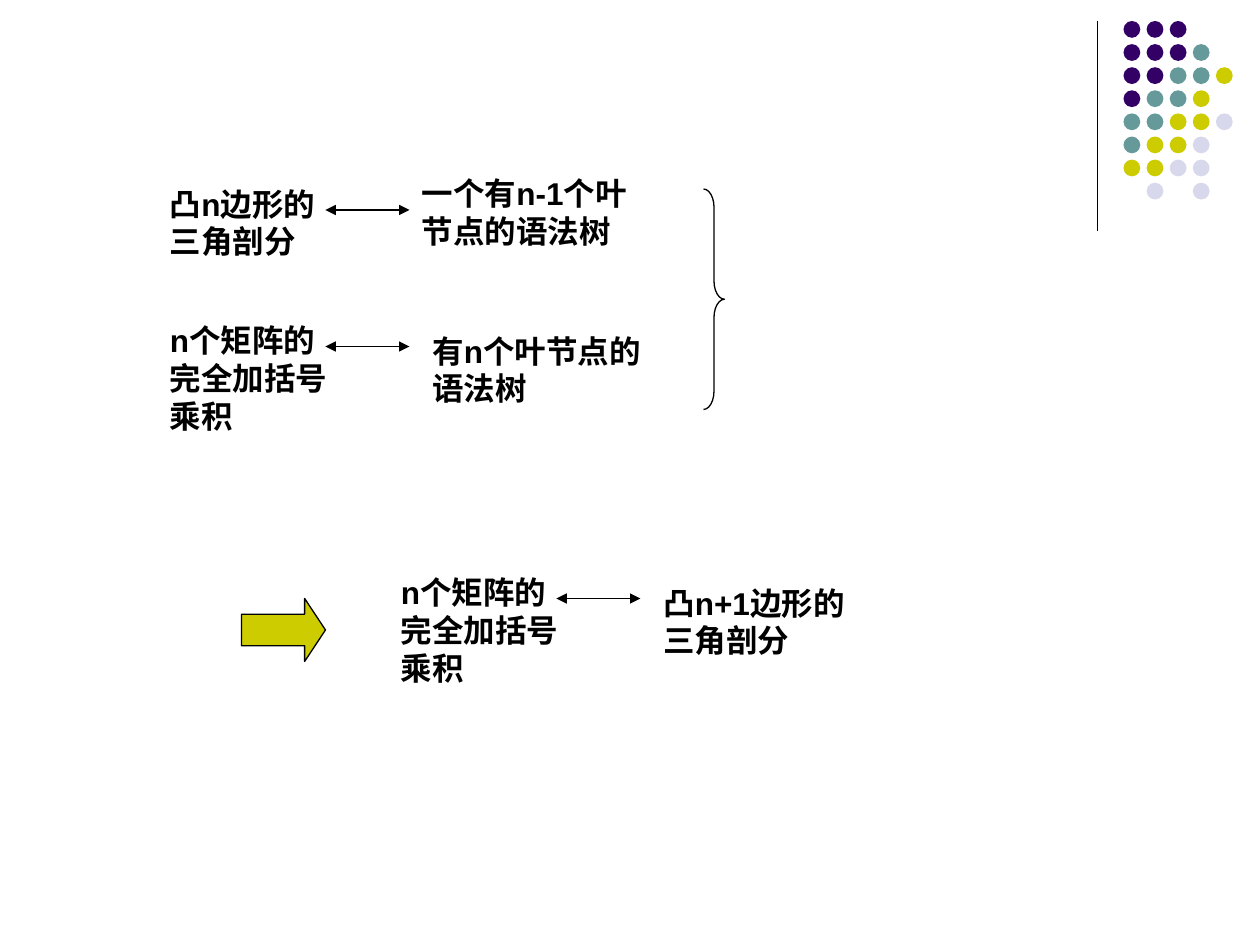
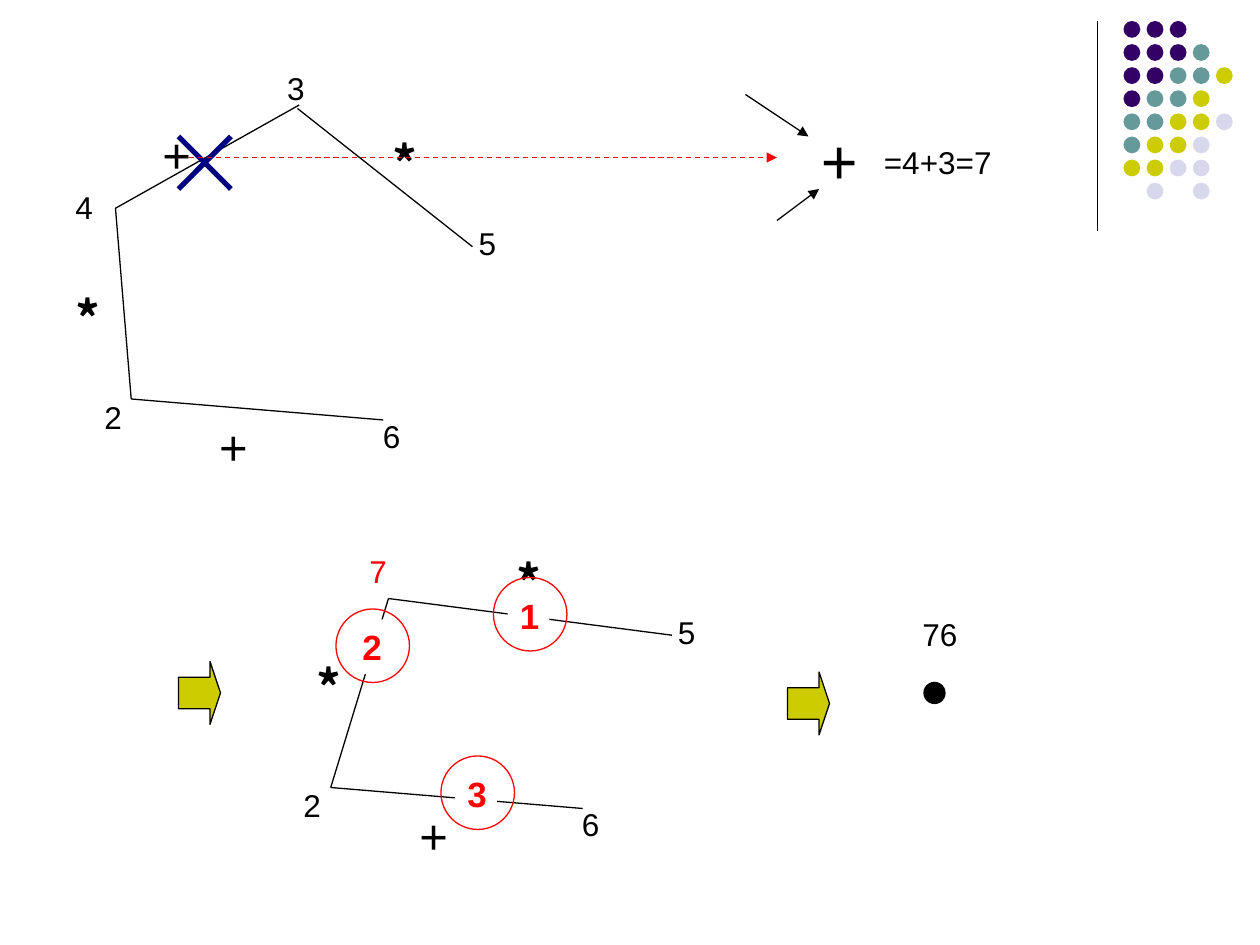
from dataclasses import dataclass
from typing import NamedTuple, Optional

from lxml import etree
from pptx import Presentation
from pptx.dml import color as col
from pptx.enum import dml, shapes, text
from pptx.oxml import ns
from pptx.slide import Slide
from pptx.util import Pt

COLORS = {
    "black": "000000", "white": "FFFFFF", "red": "FF0000", "navy": "000080",
    "purple": "330066", "teal": "669999", "olive": "CCCC00", "lilac": "D8D8EC",
}
LATIN, CJK = "Arial", "Noto Sans CJK SC"

DOT_COLORS = {"P": "purple", "T": "teal", "O": "olive", "L": "lilac"}
DOT_ROWS = ("PPP", "PPPT", "PPTTO", "PTTO", "TTOOL", "TOOL", "OOLL", " L L")
DOT_LEFT, DOT_TOP, DOT_PITCH, DOT_SIZE = 642, 12, 13.2, 9.6


@dataclass
class Label:
    text: str
    left: float
    top: float
    width: float = 27.4
    size: float = 18
    lines: int = 1
    color: str = "black"
    bold: bool = False
    font: str = LATIN
    fill: Optional[str] = None
    centered: bool = False


class Line(NamedTuple):
    x1: float
    y1: float
    x2: float
    y2: float
    color: str = "black"
    weight: float = 0.75
    arrows: str = ""  # any of "head" and "tail", separated by a space
    dashed: bool = False


class Figure(NamedTuple):
    kind: shapes.MSO_SHAPE
    left: float
    top: float
    width: float
    height: float
    fill: Optional[str] = None
    line: Optional[str] = "black"
    adjustments: tuple = ()


def rgb(name: str) -> col.RGBColor:
    return col.RGBColor.from_string(COLORS[name])


def add_label(s: Slide, label: Label) -> None:
    height = label.lines * label.size * 1.2 + 7.2
    sp = s.shapes.add_textbox(Pt(label.left), Pt(label.top), Pt(label.width), Pt(height))
    if label.fill:
        sp.fill.solid()
        sp.fill.fore_color.rgb = rgb(label.fill)
    tf = sp.text_frame
    tf.word_wrap = True
    tf.auto_size = text.MSO_AUTO_SIZE.SHAPE_TO_FIT_TEXT
    tf.text = label.text
    p = tf.paragraphs[0]
    p.alignment = text.PP_ALIGN.CENTER if label.centered else text.PP_ALIGN.LEFT
    r = p.runs[0]
    r.font.name, r.font.size, r.font.bold = label.font, Pt(label.size), label.bold
    r.font.color.rgb = rgb(label.color)
    etree.SubElement(r.font._element, ns.qn("a:ea"), typeface=CJK)


def add_line(s: Slide, line: Line) -> None:
    c = s.shapes.add_connector(shapes.MSO_CONNECTOR.STRAIGHT, Pt(line.x1), Pt(line.y1),
                               Pt(line.x2), Pt(line.y2))
    c.line.color.rgb = rgb(line.color)
    c.line.width = Pt(line.weight)
    if line.dashed:
        c.line.dash_style = dml.MSO_LINE.DASH
    ln = c.line._get_or_add_ln()
    for end in line.arrows.split():
        etree.SubElement(ln, ns.qn(f"a:{end}End"), type="triangle")
    etree.SubElement(c._element.spPr, ns.qn("a:effectLst"))


def add_figure(s: Slide, figure: Figure) -> None:
    sp = s.shapes.add_shape(figure.kind, Pt(figure.left), Pt(figure.top),
                            Pt(figure.width), Pt(figure.height))
    sp.shadow.inherit = False
    for i, value in enumerate(figure.adjustments):
        sp.adjustments[i] = value
    if figure.fill:
        sp.fill.solid()
        sp.fill.fore_color.rgb = rgb(figure.fill)
    else:
        sp.fill.background()
    if figure.line:
        sp.line.color.rgb = rgb(figure.line)
        sp.line.width = Pt(0.75)
    else:
        sp.line.fill.background()


def draw(s: Slide, items: list) -> None:
    """Draw labels, lines and figures from back to front."""
    painters = {Label: add_label, Line: add_line, Figure: add_figure}
    for item in items:
        painters[type(item)](s, item)


def oval(left: float, top: float, size: float, fill: Optional[str],
         line: Optional[str]) -> Figure:
    return Figure(shapes.MSO_SHAPE.OVAL, left, top, size, size, fill, line)


def block_arrow(left: float, top: float, width: float, head: float) -> Figure:
    return Figure(shapes.MSO_SHAPE.RIGHT_ARROW, left, top, width, 36, "olive",
                  adjustments=(0.5, head))


def concept(words: str, left: float, top: float, width: float, lines: int = 2) -> Label:
    return Label(words, left, top, width, lines=lines, bold=True)


def equivalence(x1: float, x2: float, y: float) -> Line:
    return Line(x1, y, x2, y, arrows="head tail")


def plus(left: float, top: float) -> Label:
    return Label("+", left, top, size=28)


def times(left: float, top: float) -> Label:
    return Label("*", left, top, size=28, bold=True, font=CJK)


def step_badge(number: int, left: float, top: float) -> list:
    return [oval(left, top, 42, None, "red"),
            Label(str(number), left + 8, top + 6, 24, 20, color="red", bold=True,
                  fill="white")]


def new_slide(prs) -> Slide:
    """Add a blank slide with the corner rule and dot pattern."""
    s = prs.slides.add_slide(prs.slide_layouts[6])
    dots = [oval(DOT_LEFT + i * DOT_PITCH, DOT_TOP + j * DOT_PITCH, DOT_SIZE,
                 DOT_COLORS[key], None)
            for j, row in enumerate(DOT_ROWS) for i, key in enumerate(row) if key != " "]
    draw(s, [Line(627, 12, 627, 132), *dots])
    return s


def build_equivalences(prs) -> None:
    product = "n个矩阵的完全加括号乘积"
    draw(new_slide(prs), [
        concept("凸n边形的三角剖分", 90, 102, 114),
        concept("一个有n-1个叶节点的语法树", 234, 96, 138),
        equivalence(186, 234, 120),
        concept(product, 90, 180, 114, 3),
        concept("有n个叶节点的语法树", 240, 186, 138),
        equivalence(186, 234, 198),
        Figure(shapes.MSO_SHAPE.RIGHT_BRACE, 402, 108, 12, 126, adjustments=(0.875, 0.5)),
        block_arrow(138, 342, 48, 0.33),
        concept(product, 222, 324, 114, 3),
        concept("凸n+1边形的三角剖分", 372, 330, 120),
        equivalence(318, 366, 342),
    ])


def build_polygon_game(prs) -> None:
    full_polygon = [
        Label("3", 157, 36), Label("5", 266.4, 124.6), Label("6", 211.7, 234.7),
        Label("2", 52.6, 223.9), Label("4", 36, 103.7),
        plus(85.7, 67.7), times(36, 161.3), times(217.4, 72.7), plus(118.1, 234.7),
        Line(75, 228, 219, 240), Line(270, 141, 170, 62),
        Line(171, 60, 66, 119), Line(75, 228, 66, 119),
        Line(102, 78, 132, 108, "navy", 3), Line(102, 108, 132, 78, "navy", 3),
    ]
    merged_edge = [
        Line(108, 90, 444, 90, "red", arrows="tail", dashed=True),
        Label("+", 462, 66, 42, 36),
        Line(426, 54, 462, 78, arrows="tail"), Line(444, 126, 468, 108, arrows="tail"),
        Label("=4+3=7", 498, 78, 120),
    ]
    reduced_polygon = [
        block_arrow(102, 378, 24, 0.25),
        Label("7", 204, 312, 42, color="red"), Label("5", 380.2, 347),
        Label("6", 325.4, 456.5), Label("2", 166.3, 445.7),
        times(174, 372), times(288, 312), plus(232.6, 456.5),
        Line(189, 450, 333, 462), Line(384, 363, 222, 342), Line(189, 450, 222, 342),
        *step_badge(1, 282, 330), *step_badge(2, 192, 348), *step_badge(3, 252, 432),
    ]
    result = [
        block_arrow(450, 384, 24, 0.25),
        oval(528, 390, 12, "black", "black"),
        Label("76", 510, 348, 54, centered=True),
    ]
    draw(new_slide(prs), full_polygon + merged_edge + reduced_polygon + result)


def main() -> None:
    prs = Presentation()
    prs.slide_width, prs.slide_height = Pt(720), Pt(540)
    build_equivalences(prs)
    build_polygon_game(prs)
    prs.save("out.pptx")


if __name__ == "__main__":
    main()
